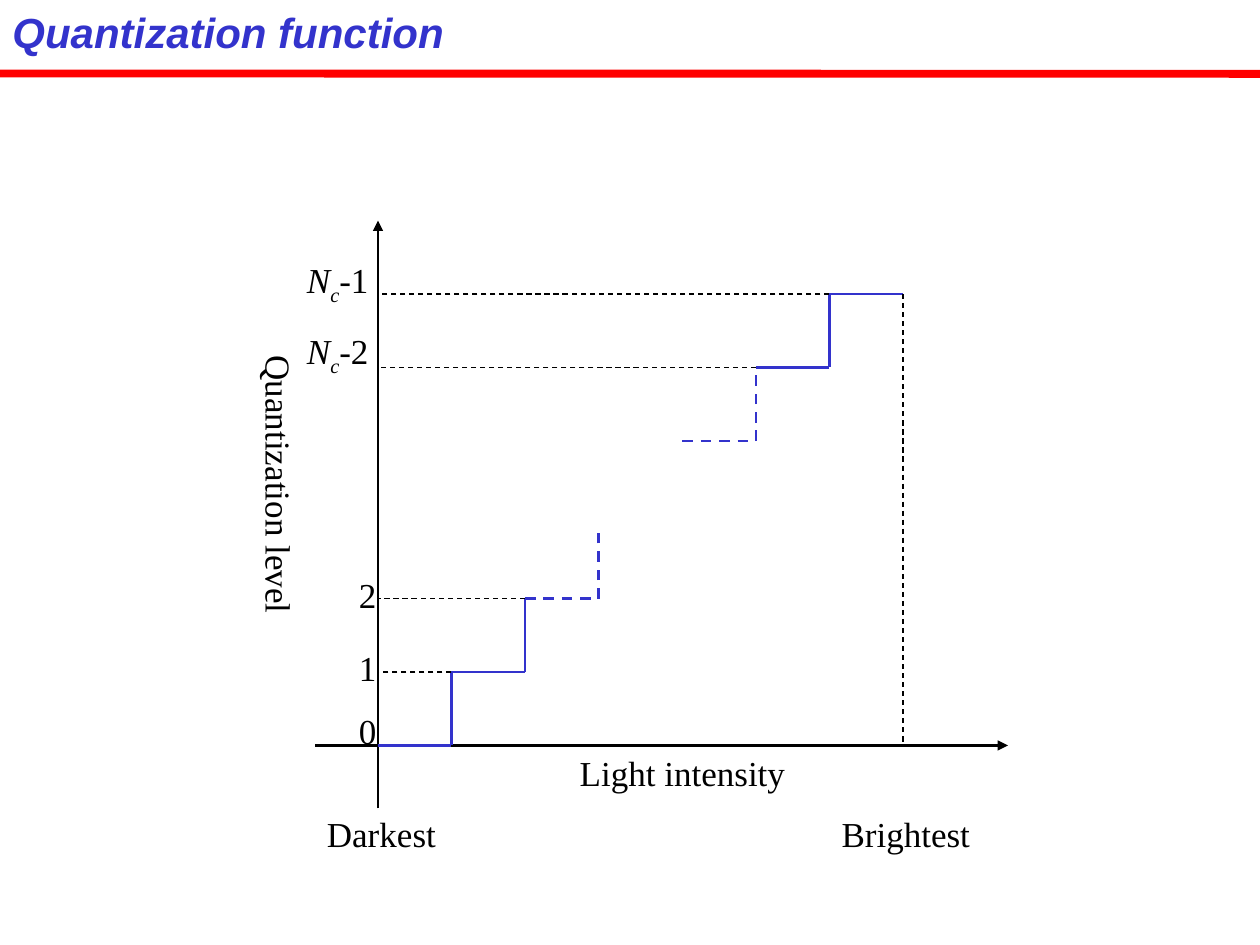
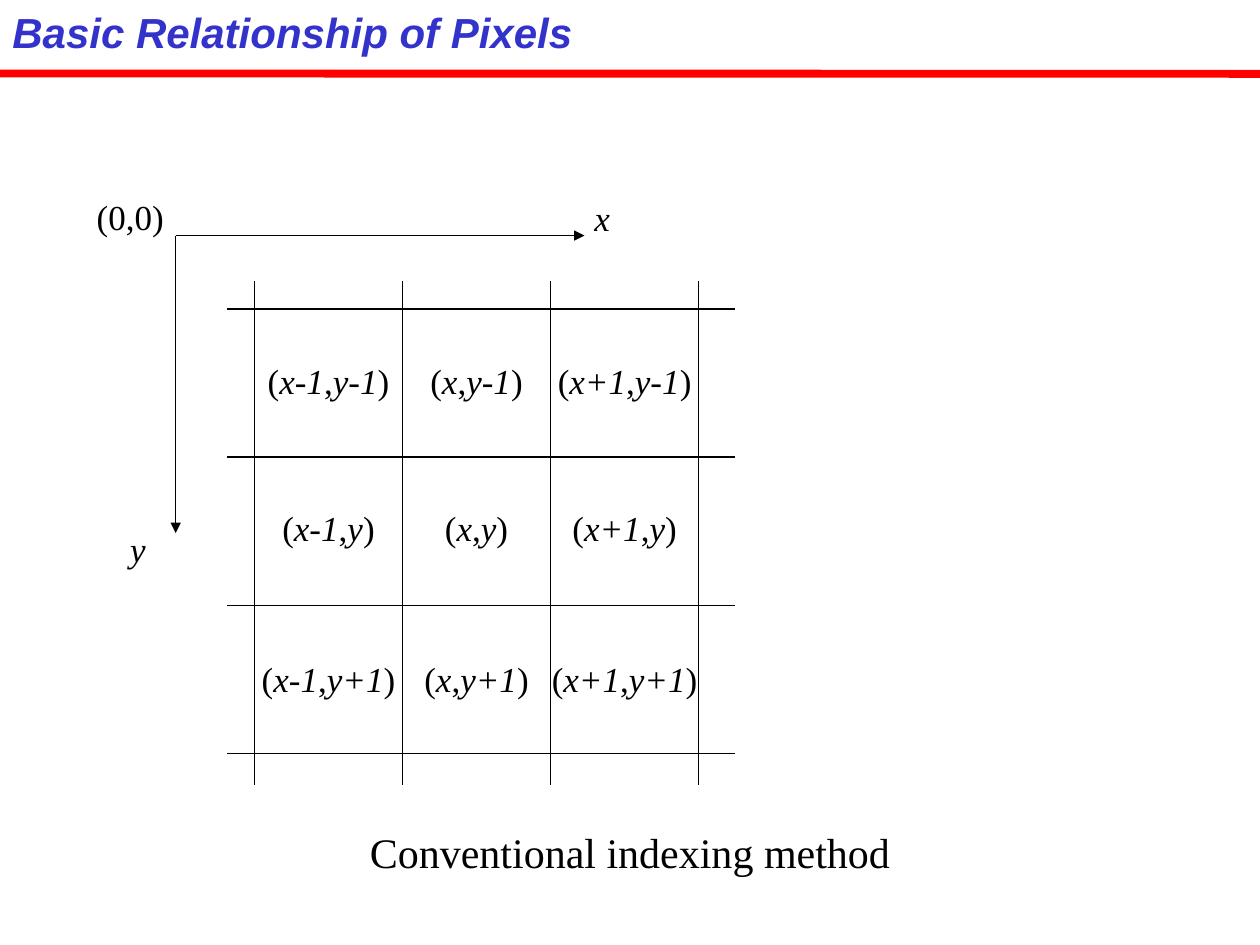
from pptx import Presentation
from pptx.dml.color import RGBColor
from pptx.enum.dml import MSO_LINE
from pptx.enum.shapes import MSO_CONNECTOR
from pptx.enum.text import MSO_AUTO_SIZE, PP_ALIGN
from pptx.oxml.ns import qn
from pptx.util import Pt
from lxml import etree

BLACK = RGBColor(0x00, 0x00, 0x00)
BLUE = RGBColor(0x33, 0x33, 0xCC)
RED = RGBColor(0xFF, 0x00, 0x00)
SERIF, SANS = "Times New Roman", "Arial"
STRAIGHT = MSO_CONNECTOR.STRAIGHT
DASH = MSO_LINE.DASH
FIT = MSO_AUTO_SIZE.SHAPE_TO_FIT_TEXT
LEFT, CENTER = PP_ALIGN.LEFT, PP_ALIGN.CENTER

# Text is a list of (text, style) runs; styles: "" plain, "i" italic, "sub" italic subscript
# Labels: runs, left, top, width, height
QUANT_LABELS = [
    ([("Light intensity", "")], 323, 426, 134, 31.5),
    ([("0", "")], 197, 401.8, 26, 31.5),
    ([("1", "")], 197, 365.8, 26, 31.5),
    ([("2", "")], 197, 324, 26, 31.5),
    ([("N", "i"), ("c", "sub"), ("-1", "")], 167, 144, 52, 34.5),
    ([("N", "i"), ("c", "sub"), ("-2", "")], 167, 185, 52, 34.5),
    ([("Darkest", "")], 178, 460.8, 80, 31.5),
    ([("Brightest", "")], 472.6, 460.8, 90, 31.5),
]
LEVEL_LABEL = ([("Quantization level", "")], 137.2, 196, 38.2, 158)

ORIGIN_X, ORIGIN_Y = 216, 426
STEP = 42
# Stairs: start x, start y, dashed; each runs one step right, then one step up
STAIRS = [
    (216, 426, False),
    (258, 384, False),
    (300, 342, True),
    (390, 252, True),
    (432, 210, False),
]
TOP_X, TOP_Y = 474, 168
# Guides from the vertical axis: end x, y
GUIDES = [(474, 168), (432, 210), (300, 342), (258, 384)]

PIXEL_LABELS = [
    ([("x", "i")], 331.6, 108.7, 25, 31.5),
    ([("y", "i")], 66.4, 297.8, 25, 31.5),
    ([("(0,0)", "")], 47, 108, 55, 31.5),
]
CAPTION = ([("Conventional indexing method", "")], 203, 468.7, 314, 36)
COLUMNS = ["x-1", "x", "x+1"]
ROWS = [("y-1", 201.6), ("y", 285.8), ("y+1", 372.2)]  # index, text top
GRID_X, GRID_Y, CELL = 145.4, 176.6, 84.6
GRID_LEFT, GRID_RIGHT = 129.6, 420.2
GRID_TOP, GRID_BOTTOM = 160.6, 448.6
CELL_TEXT_W, MINUS_W, PLUS_W = 53, 16.6, 23.8


def add_line(slide, x1, y1, x2, y2, color=BLACK, width=0.75, dashed=False, arrow=False):
    c = slide.shapes.add_connector(STRAIGHT, Pt(x1), Pt(y1), Pt(x2), Pt(y2))
    c.line.color.rgb = color
    c.line.width = Pt(width)
    if dashed:
        c.line.dash_style = DASH
    sp_pr = c.element.spPr
    if arrow:
        etree.SubElement(sp_pr.find(qn("a:ln")), qn("a:tailEnd"), type="triangle")
    etree.SubElement(sp_pr, qn("a:effectLst"))


def add_text(slide, runs, left, top, width, height, size=20, font=SERIF,
             color=BLACK, bold=False, align=CENTER):
    s = slide.shapes.add_textbox(Pt(left), Pt(top), Pt(width), Pt(height))
    tf = s.text_frame
    tf.word_wrap = False
    tf.auto_size = FIT
    p = tf.paragraphs[0]
    p.alignment = align
    for text, style in runs:
        r = p.add_run()
        r.text = text
        r.font.name = font
        r.font.size = Pt(size)
        r.font.color.rgb = color
        r.font.bold = bold
        r.font.italic = style != ""
        if style == "sub":
            r._r.get_or_add_rPr().set("baseline", "-25000")
    return s


def add_titled_slide(prs, title, title_width):
    slide = prs.slides.add_slide(prs.slide_layouts[6])
    add_line(slide, 0, 42, 720, 42.2, RED, 4.5)
    add_text(slide, [(title, "i")], 0, 0, title_width, 36, 24, SANS, BLUE, True, LEFT)
    return slide


def build_quantization(prs):
    slide = add_titled_slide(prs, "Quantization function", 264)
    add_line(slide, 180, ORIGIN_Y, 576, ORIGIN_Y, width=1.5, arrow=True)
    add_line(slide, ORIGIN_X, 462, ORIGIN_X, 126, width=1.5, arrow=True)
    for x, y, dashed in STAIRS:
        add_line(slide, x, y, x + STEP, y, BLUE, 1.5, dashed)
        add_line(slide, x + STEP, y, x + STEP, y - STEP, BLUE, 1.5, dashed)
    add_line(slide, TOP_X, TOP_Y, TOP_X + STEP, TOP_Y, BLUE, 1.5)
    for x, y in GUIDES:
        add_line(slide, x, y, ORIGIN_X, y, dashed=True)
    add_line(slide, TOP_X + STEP, TOP_Y, TOP_X + STEP, ORIGIN_Y, dashed=True)
    for label in QUANT_LABELS:
        add_text(slide, *label)
    s = add_text(slide, *LEVEL_LABEL)
    tf = s.text_frame
    tf.margin_left = tf.margin_right = Pt(3.6)
    tf.margin_top = tf.margin_bottom = Pt(7.2)
    s.element.txBody.find(qn("a:bodyPr")).set("vert", "eaVert")


def build_pixels(prs):
    slide = add_titled_slide(prs, "Basic Relationship of Pixels", 338)
    add_line(slide, 100.4, 134.6, 334, 134.6, arrow=True)
    add_line(slide, 100.4, 134.6, 100.4, 304.6, arrow=True)
    for label in PIXEL_LABELS:
        add_text(slide, *label)
    add_text(slide, *CAPTION, size=24)
    for i in range(4):
        x, y = GRID_X + i * CELL, GRID_Y + i * CELL
        add_line(slide, x, GRID_TOP, x, GRID_BOTTOM)
        add_line(slide, GRID_LEFT, y, GRID_RIGHT, y)
    for row, top in ROWS:
        for i, col in enumerate(COLUMNS):
            index = col + row
            width = CELL_TEXT_W + MINUS_W * index.count("-") + PLUS_W * index.count("+")
            left = GRID_X + (i + 0.5) * CELL - width / 2
            runs = [("(", ""), (col, "i"), (",", ""), (row, "i"), (")", "")]
            add_text(slide, runs, left, top, width, 31.5)


def main():
    prs = Presentation()
    prs.slide_width, prs.slide_height = Pt(720), Pt(540)
    build_quantization(prs)
    build_pixels(prs)
    prs.save("out.pptx")


if __name__ == "__main__":
    main()
